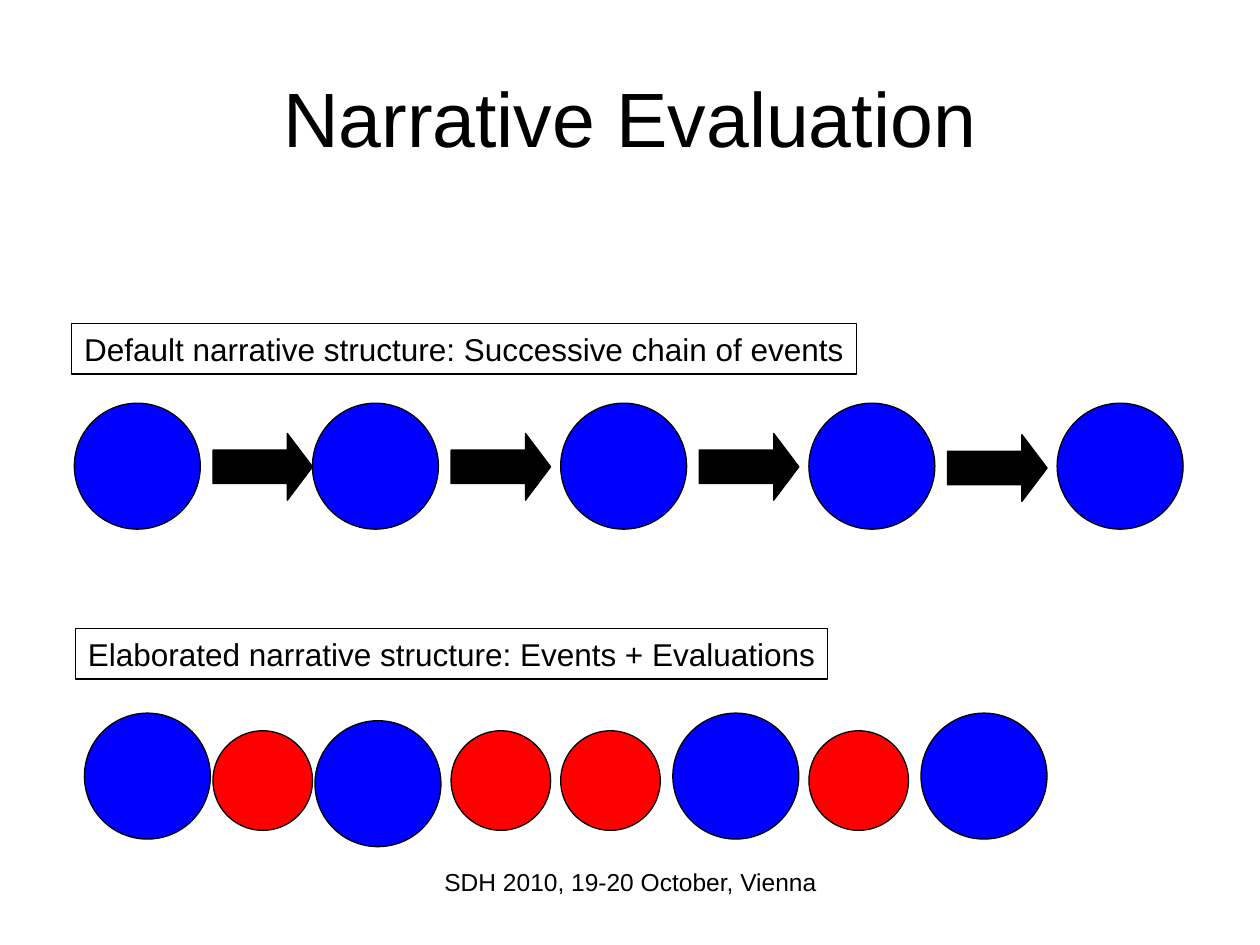
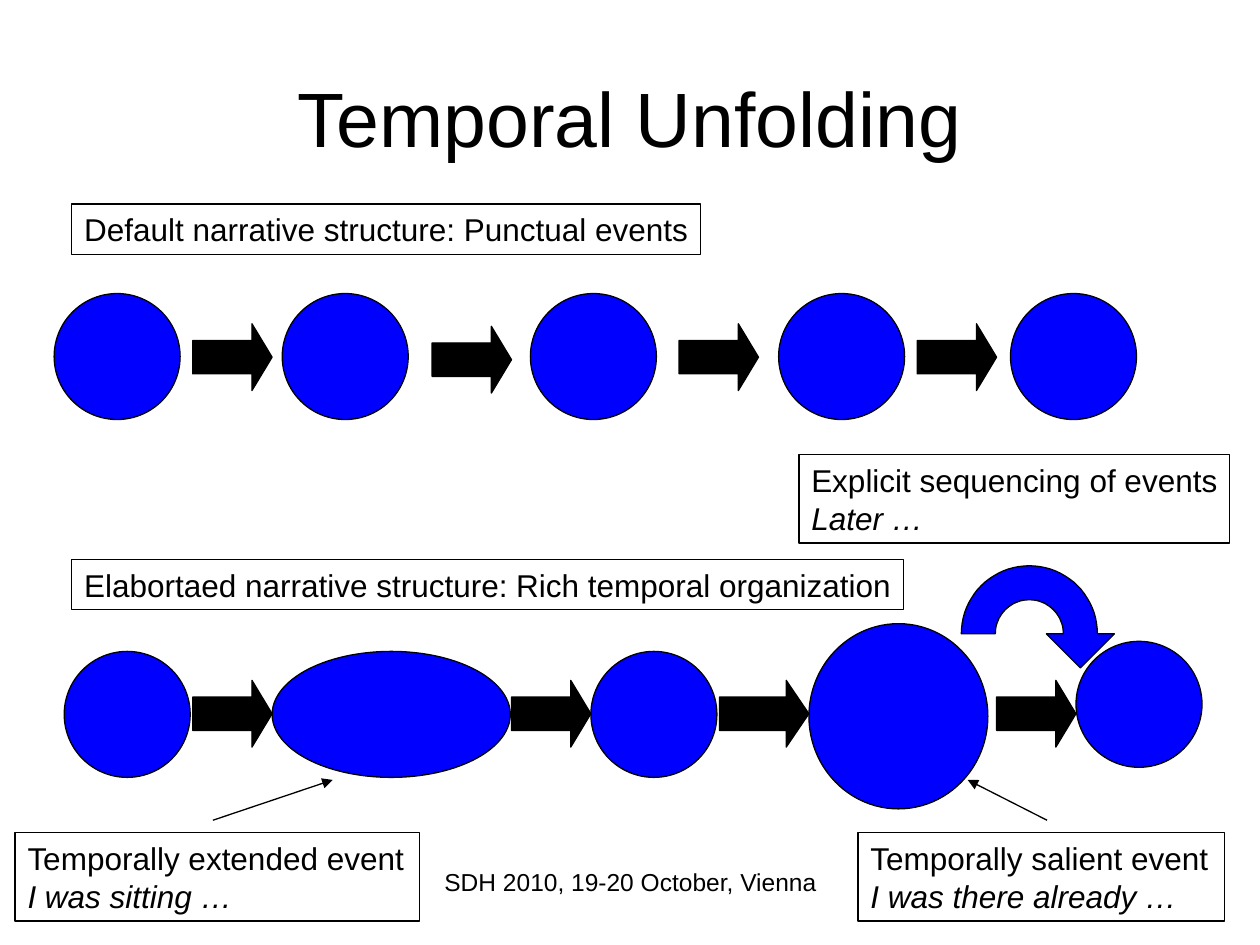
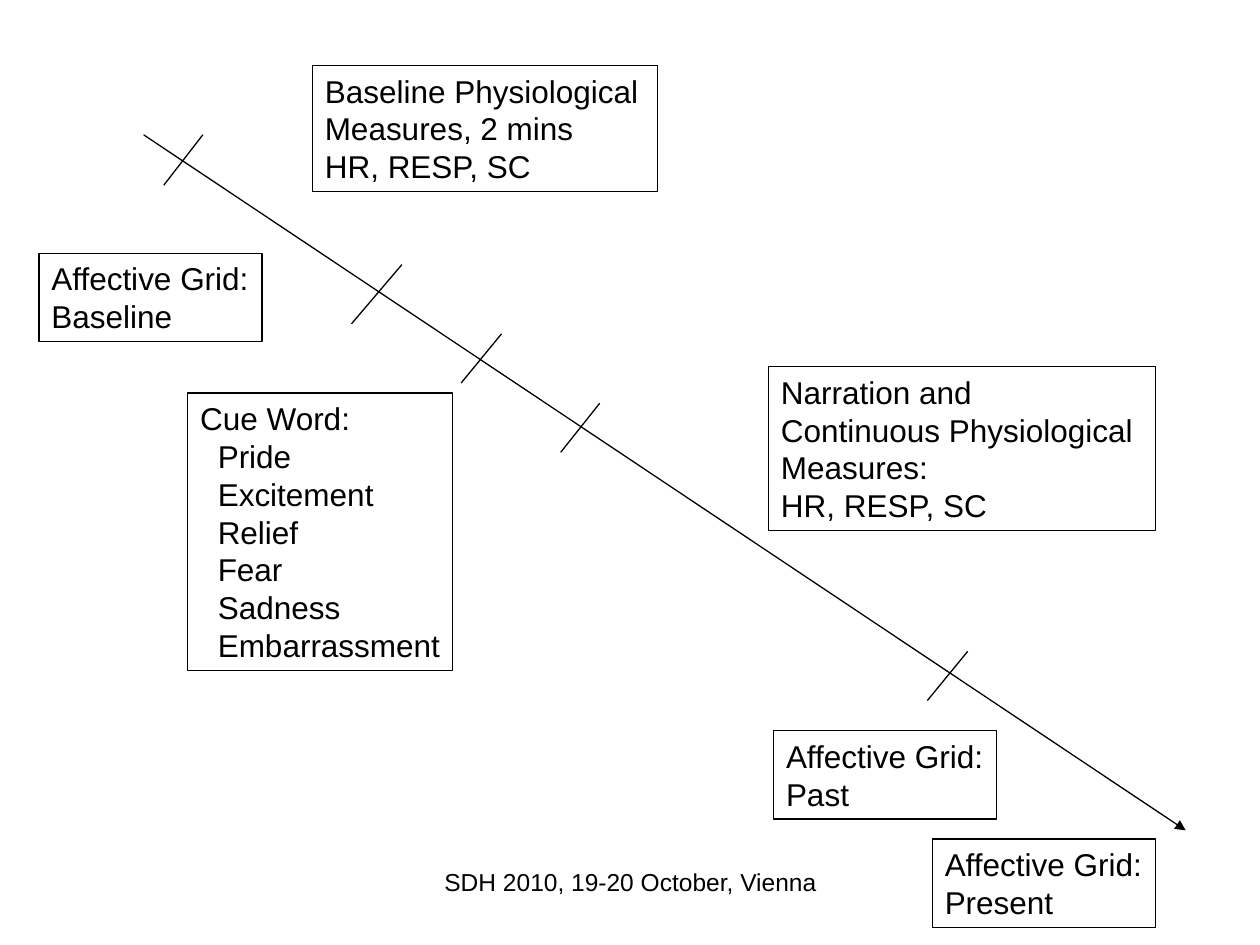
from math import cos, pi, sin

from lxml import etree
from pptx import Presentation
from pptx.dml.color import RGBColor
from pptx.enum.shapes import MSO_CONNECTOR, MSO_SHAPE
from pptx.enum.text import MSO_ANCHOR, PP_ALIGN
from pptx.oxml.ns import qn
from pptx.util import Inches, Pt

OVAL, ARROW = MSO_SHAPE.OVAL, MSO_SHAPE.RIGHT_ARROW
STRAIGHT = MSO_CONNECTOR.STRAIGHT
CENTER, LEFT, MIDDLE = PP_ALIGN.CENTER, PP_ALIGN.LEFT, MSO_ANCHOR.MIDDLE

COLORS = {"ink": "000000", "event": "0000FF", "evaluation": "FF0000"}
FONT = "Arial"
LINE_WIDTH = 0.75
FOOTER = "SDH 2010, 19-20 October, Vienna"
FOOTER_AT = (3.42, 6.83, 3.17, 0.52)
TITLE_AT = (0.5, 0.3, 9, 1.25)
EVENT, EVALUATION, ARROW_HEIGHT, ARROW_HEAD = 1, 0.79, 0.53, 0.2
CUE_INDENT = 0.14
UNITS_PER_INCH = 1000

SLIDES = [
    {
        "title": "Narrative Evaluation",
        "events": [(x, 3.2) for x in (0.59, 2.48, 4.45, 6.42, 8.39)]
        + [(0.67, 5.66), (2.5, 5.72), (5.34, 5.66), (7.31, 5.66)],
        "evaluations": [(x, 5.8) for x in (1.69, 3.58, 4.45, 6.42)],
        "arrows": [(1.69, 3.44, 0.79), (3.58, 3.44, 0.79),
                   (5.55, 3.44, 0.79), (7.52, 3.45, 0.79)],
        "boxes": [
            ((0.57, 2.57, 6.23, 0.4), ["Default narrative structure: Successive chain of events"]),
            ((0.6, 4.99, 5.97, 0.4), ["Elaborated narrative structure: Events + Evaluations"]),
        ],
    },
    {
        "title": "Temporal Unfolding",
        "events": [(x, 2.33) for x in (0.43, 2.24, 4.21, 6.18, 8.02)]
        + [(0.51, 5.17), (4.69, 5.17), (8.54, 5.09)],
        "long_events": [(2.16, 5.17, 1.89, 1), (6.42, 4.95, 1.42, 1.47)],
        "arrows": [(1.53, 2.57, 0.63), (3.43, 2.59, 0.63), (5.39, 2.57, 0.63),
                   (7.28, 2.57, 0.63), (1.53, 5.4, 0.63), (4.06, 5.4, 0.63),
                   (5.71, 5.4, 0.71), (7.91, 5.4, 0.63)],
        "boxes": [
            ((0.57, 1.62, 4.99, 0.4), ["Default narrative structure: Punctual events"]),
            ((0.57, 4.44, 6.6, 0.4), ["Elabortaed narrative structure: Rich temporal organization"]),
            ((0.12, 6.61, 3.21, 0.7), ["Temporally extended event", "I was sitting …"]),
            ((6.81, 6.61, 2.91, 0.7), ["Temporally salient event", "I was there already …"]),
            ((6.34, 3.61, 3.42, 0.7), ["Explicit sequencing of events", "Later …"]),
        ],
        "later_style": {"italic": True},
        "pointers": [(1.69, 6.51, 2.64, 6.19), (8.31, 6.51, 7.68, 6.19)],
        "jump": (8.17, 5.03),
    },
    {
        "boxes": [
            ((2.48, 0.52, 2.74, 1), ["Baseline Physiological", "Measures, 2 mins", "HR, RESP, SC"]),
            ((0.31, 2.01, 1.77, 0.7), ["Affective Grid:", "Baseline"]),
            ((6.1, 2.91, 3.07, 1.3), ["Narration and", "Continuous Physiological",
                                      "Measures:", "HR, RESP, SC"]),
            ((6.14, 5.8, 1.77, 0.7), ["Affective Grid:", "Past"]),
            ((7.4, 6.66, 1.77, 0.7), ["Affective Grid:", "Present"]),
        ],
        "cue_box": ((1.49, 3.12, 2.1, 2.2), ["Cue Word:", "Pride", "Excitement", "Relief",
                                             "Fear", "Sadness", "Embarrassment"]),
        "pointers": [(1.14, 1.07, 9.41, 6.59)],
        "ticks": [(1.61, 1.07, 1.3, 1.47), (3.19, 2.1, 2.79, 2.57), (3.98, 2.65, 3.66, 3.04),
                  (4.76, 3.2, 4.45, 3.59), (7.68, 5.17, 7.36, 5.56)],
    },
]


def rgb(name):
    return RGBColor.from_string(COLORS[name])


def inches(values):
    return [Inches(v) for v in values]


def set_line(sp):
    sp.line.color.rgb = rgb("ink")
    sp.line.width = Pt(LINE_WIDTH)


def paint(sp, color):
    sp.shadow.inherit = False
    sp.fill.solid()
    sp.fill.fore_color.rgb = rgb(color)
    set_line(sp)


def write(tf, lines, size, align=LEFT, later_style=None, indent=0):
    for i, text in enumerate(lines):
        p = tf.paragraphs[0] if i == 0 else tf.add_paragraph()
        p.alignment = align
        if i and indent:
            p._p.get_or_add_pPr().set("marL", str(Inches(indent)))
        r = p.add_run()
        r.text = text
        style = {"name": FONT, "size": Pt(size), **(later_style or {} if i else {})}
        for key, value in style.items():
            setattr(r.font, key, value)
        r.font.color.rgb = rgb("ink")


def add_text(s, at, lines, size=18, **style):
    sp = s.shapes.add_textbox(*inches(at))
    sp.text_frame.word_wrap = True
    write(sp.text_frame, lines, size, **style)
    return sp


def add_box(s, at, lines, **style):
    sp = add_text(s, at, lines, **style)
    sp.text_frame.margin_right = 0
    set_line(sp)


def add_oval(s, at, color):
    paint(s.shapes.add_shape(OVAL, *inches(at)), color)


def add_arrow(s, x, y, width):
    sp = s.shapes.add_shape(ARROW, *inches((x, y, width, ARROW_HEIGHT)))
    sp.adjustments[0] = 0.5
    sp.adjustments[1] = ARROW_HEAD / ARROW_HEIGHT * width / EVALUATION
    paint(sp, "ink")


def add_line(s, ends, head=False):
    sp = s.shapes.add_connector(STRAIGHT, *inches(ends))
    set_line(sp)
    if head:
        etree.SubElement(sp.line._get_or_add_ln(), qn("a:tailEnd"), type="triangle")
    etree.SubElement(sp._element.spPr, qn("a:effectLst"))


def add_jump(s, cx, cy, outer=0.54, inner=0.27, steps=40):
    def arc(radius):
        angles = [pi * i / steps for i in range(steps + 1)]
        return [(cx + radius * cos(a), cy - radius * sin(a)) for a in angles]

    middle = cx + (outer + inner) / 2
    head = [(middle + inner, cy), (middle, cy + inner), (middle - inner, cy)]
    outline = arc(inner) + arc(outer)[::-1] + head
    points = [(round(x * UNITS_PER_INCH), round(y * UNITS_PER_INCH)) for x, y in outline]
    fb = s.shapes.build_freeform(*points[0], scale=Inches(1) / UNITS_PER_INCH)
    fb.add_line_segments(points[1:], close=True)
    paint(fb.convert_to_shape(), "event")


def add_title(s, text):
    sp = s.shapes.title
    sp.left, sp.top, sp.width, sp.height = inches(TITLE_AT)
    sp.text_frame.vertical_anchor = MIDDLE
    write(sp.text_frame, [text], 44, align=CENTER)


def add_slide(prs, content):
    s = prs.slides.add_slide(prs.slide_layouts[5 if "title" in content else 6])
    add_text(s, FOOTER_AT, [FOOTER], size=14, align=CENTER)
    if "title" in content:
        add_title(s, content["title"])
    for x, y in content.get("events", []):
        add_oval(s, (x, y, EVENT, EVENT), "event")
    for at in content.get("long_events", []):
        add_oval(s, at, "event")
    for x, y in content.get("evaluations", []):
        add_oval(s, (x, y, EVALUATION, EVALUATION), "evaluation")
    for arrow in content.get("arrows", []):
        add_arrow(s, *arrow)
    for at, lines in content["boxes"]:
        add_box(s, at, lines, later_style=content.get("later_style"))
    if "cue_box" in content:
        add_box(s, *content["cue_box"], indent=CUE_INDENT)
    for ends in content.get("pointers", []):
        add_line(s, ends, head=True)
    for ends in content.get("ticks", []):
        add_line(s, ends)
    if "jump" in content:
        add_jump(s, *content["jump"])


def main():
    prs = Presentation()
    prs.slide_width, prs.slide_height = Inches(10), Inches(7.5)
    for content in SLIDES:
        add_slide(prs, content)
    prs.save("out.pptx")


if __name__ == "__main__":
    main()
